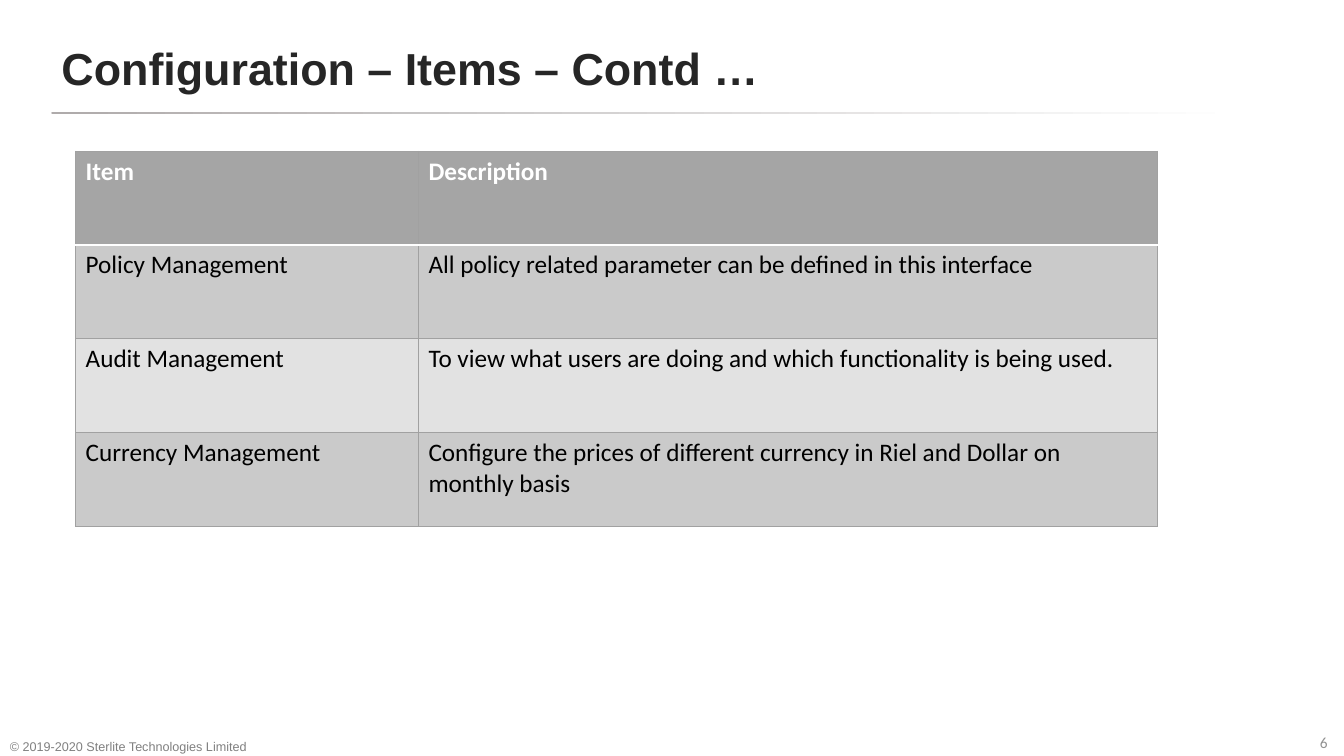
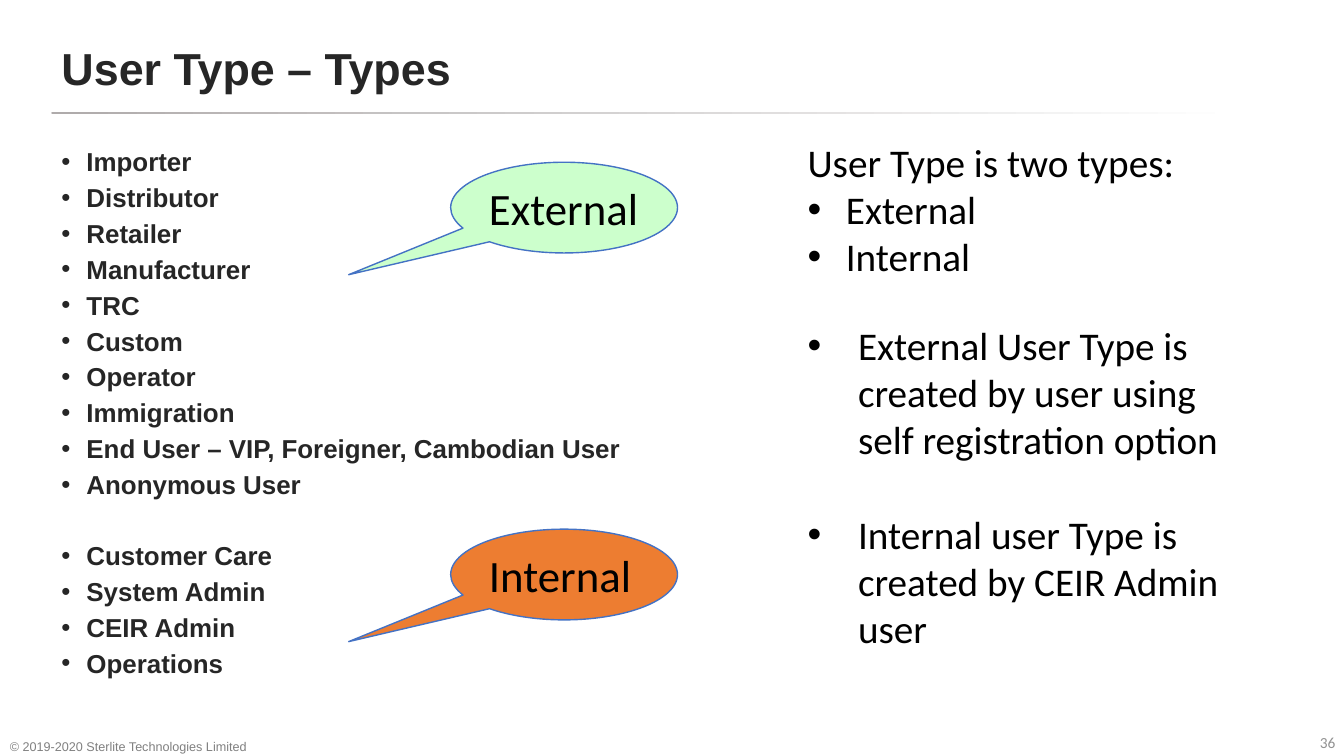
from lxml.etree import SubElement as Sub
from pptx import Presentation
from pptx.dml.color import RGBColor
from pptx.enum.shapes import MSO_SHAPE as Kind
from pptx.enum.text import MSO_ANCHOR as Anchor, MSO_AUTO_SIZE as Auto, PP_ALIGN as Align
from pptx.oxml.ns import qn
from pptx.util import Pt

UNIT = 9144  # EMU in one px, 100 px to the inch
INK, GREY, EDGE = "262626", "A5A5A5", "A1A1A1"
WHITE, BLACK = "FFFFFF", "000000"


def px(*sizes):
    return [size * UNIT for size in sizes]


def paint(part, tint):
    """Fill a shape, cell, line or font part with a hex colour."""
    part.solid()
    part.fore_color.rgb = RGBColor.from_string(tint)


def write(frame, *lines, size=18, tint=BLACK, face="Calibri", bold=False,
          dent=0, lead=0, gap=0, high=None):
    """Add one paragraph per line; dent is the hang of a bullet."""
    for num, line in enumerate(lines):
        para = frame.paragraphs[0]
        if para.runs:
            para = frame.add_paragraph()
            para.space_before = Pt(gap if num else lead)
        para.alignment = Align.LEFT
        if high:
            para.line_spacing = Pt(high)
        if dent:
            prop = para._p.get_or_add_pPr()
            prop.set("marL", str(dent * UNIT))
            prop.set("indent", str(-dent * UNIT))
            Sub(prop, qn("a:buFont"), typeface="Arial")
            Sub(prop, qn("a:buChar"), char="•")
        run = para.add_run()
        run.text = line
        font = run.font
        font.size, font.name, font.bold = Pt(size), face, bold
        paint(font.fill, tint)


def border(cell, tag, tint, width):
    prop = cell._tc.get_or_add_tcPr()
    line = Sub(prop, qn("a:" + tag), w=str(Pt(width)))
    Sub(Sub(line, qn("a:solidFill")), qn("a:srgbClr"), val=tint)


class Deck:
    def __init__(self):
        self.file = Presentation()
        self.file.slide_width, self.file.slide_height = px(1333, 750)

    def page(self, title, num):
        """Start a slide with its title, rule and footer."""
        self.slide = self.file.slides.add_slide(self.file.slide_layouts[5])
        # Rule that fades to the right
        rule = self.shape(Kind.ROUNDED_RECTANGLE, 51, 111, 1231, 2)
        rule.adjustments[0] = 0.5
        rule.line.fill.background()
        rule.fill.gradient()
        rule.fill.gradient_angle = 0
        fade = zip(rule.fill.gradient_stops, ("AFABAB", WHITE), (0, 0.96))
        for stop, tint, place in fade:
            stop.color.rgb = RGBColor.from_string(tint)
            stop.position = place
        # Title
        head = self.slide.shapes.title
        head.left, head.top, head.width, head.height = px(51, 23, 992, 88)
        frame = head.text_frame
        frame.auto_size, frame.vertical_anchor = Auto.NONE, Anchor.MIDDLE
        write(frame, title, size=32, tint=INK, face="Arial", bold=True)
        # Footer
        mark = self.box(1304, 722, 27, 25, wrap=False)
        write(mark, str(num), size=11, tint="929292")
        foot = self.box(0, 722, 303, 28, side=10, base=2)
        foot.vertical_anchor = Anchor.BOTTOM
        write(foot, "© 2019-2020 Sterlite Technologies Limited",
              size=9, tint="808080", face="Arial")

    def shape(self, kind, *place):
        shape = self.slide.shapes.add_shape(kind, *px(*place))
        shape.shadow.inherit = False
        return shape

    def inset(self, frame, side=5, base=5):
        frame.margin_left = frame.margin_right = side * UNIT
        frame.margin_top, frame.margin_bottom = px(5, base)

    def box(self, *place, wrap=True, side=5, base=5):
        frame = self.slide.shapes.add_textbox(*px(*place)).text_frame
        frame.word_wrap = wrap
        self.inset(frame, side, base)
        return frame

    def callout(self, word, top, tint):
        shape = self.shape(Kind.OVAL_CALLOUT, 447, top, 225, 90)
        shape.adjustments[0], shape.adjustments[1] = -0.95, 0.74
        paint(shape.fill, tint)
        paint(shape.line.fill, "4472C4")
        shape.line.width = Pt(1)
        frame = shape.text_frame
        frame.vertical_anchor = Anchor.MIDDLE
        self.inset(frame)
        write(frame, word, size=32)

    def table(self, rows, left, top, wide, high):
        place = px(left, top, sum(wide), high * len(rows))
        grid = self.slide.shapes.add_table(len(rows), len(wide), *place).table
        grid.horz_banding = False
        for col, width in zip(grid.columns, wide):
            col.width = width * UNIT
        for num, (row, words) in enumerate(zip(grid.rows, rows)):
            row.height = high * UNIT
            head = num == 0
            fill = GREY if head else "CACACA" if num % 2 else "E2E2E2"
            thin, thick = (EDGE, 0.75), (WHITE, 2)
            lines = {"lnL": thin, "lnR": thin,
                     "lnT": thick if num == 1 else thin,
                     "lnB": thick if head else thin}
            for cell, word in zip(row.cells, words):
                for tag, style in lines.items():
                    border(cell, tag, *style)
                paint(cell.fill, fill)
                write(cell.text_frame, word, bold=head,
                      tint=WHITE if head else BLACK)


def main():
    deck = Deck()

    # Configuration items
    deck.page("Configuration – Items – Contd …", 6)
    deck.table([
        ("Item", "Description"),
        ("Policy Management",
         "All policy related parameter can be defined in this interface"),
        ("Audit Management",
         "To view what users are doing and which functionality is being used."),
        ("Currency Management",
         "Configure the prices of different currency in Riel and Dollar on "
         "monthly basis"),
    ], 75, 150, (340, 733), 93)

    # User types: the list of roles
    deck.page("User Type – Types", 36)
    roles = deck.box(51, 150, 640, 546, side=10)
    style = dict(size=18.5, tint=INK, face="Arial", bold=True,
                 dent=25, gap=10.6, high=15)
    write(roles, "Importer", "Distributor", "Retailer", "Manufacturer", "TRC",
          "Custom", "Operator", "Immigration",
          "End User – VIP, Foreigner, Cambodian User", "Anonymous User",
          **style)
    write(roles, "Customer Care", "System Admin", "CEIR Admin", "Operations",
          lead=36, **style)

    # User types: the two kinds
    kinds = deck.box(796, 132, 438, 182)
    write(kinds, "User Type is two types:", size=28)
    write(kinds, "External", "Internal", size=28, dent=38)
    notes = deck.box(796, 314, 438, 370)
    write(notes,
          "External User Type is created by user using self registration option",
          "Internal user Type is created by CEIR Admin user",
          size=28, dent=50, gap=34)
    deck.callout("External", 161, "CCFFCC")
    deck.callout("Internal", 525, "ED7D31")

    deck.file.save("out.pptx")


if __name__ == "__main__":
    main()
